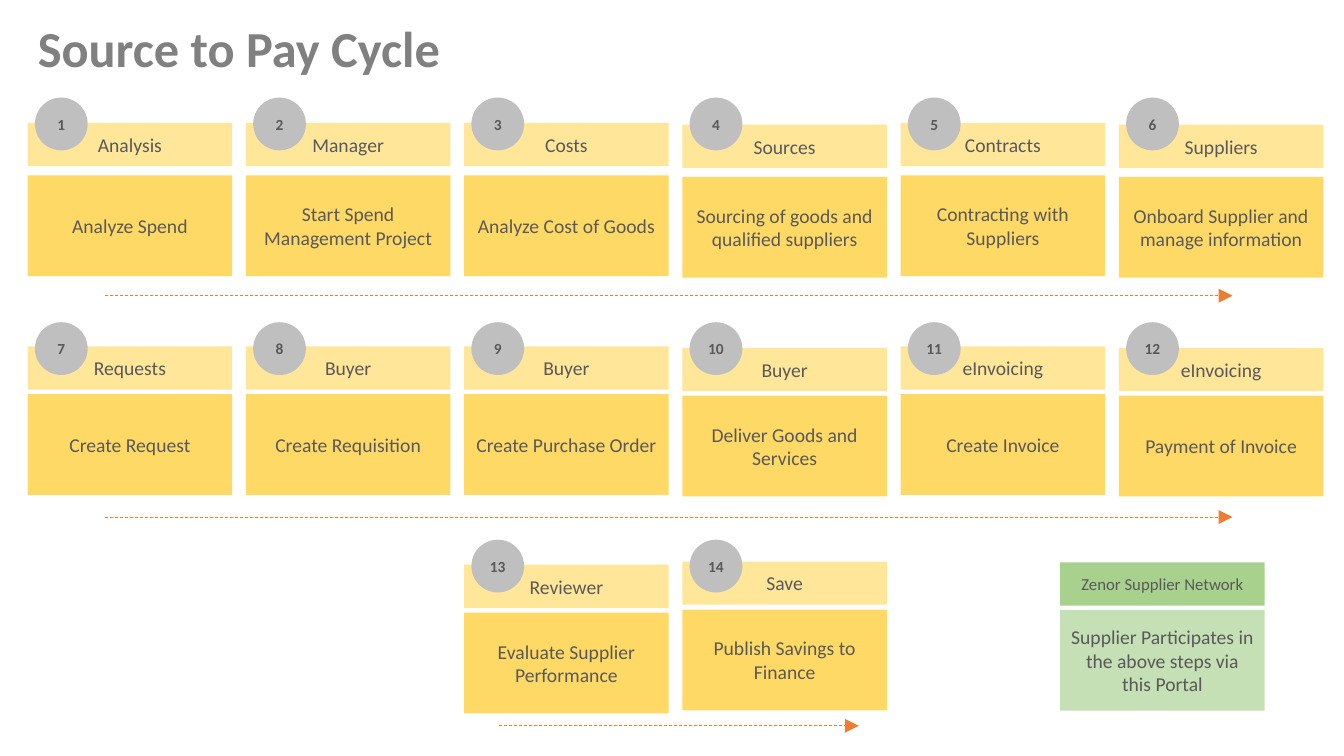
"""Build the Source to Pay Cycle slide."""
import pptx
import pptx.util
import pptx.dml.color
import pptx.enum.dml
import pptx.enum.shapes
import pptx.enum.text
import lxml.etree

Cm, Pt = pptx.util.Cm, pptx.util.Pt
Kind = pptx.enum.shapes.MSO_SHAPE
Align = pptx.enum.text.PP_ALIGN
Anchor = pptx.enum.text.MSO_ANCHOR
NS = "{http://schemas.openxmlformats.org/drawingml/2006/main}"
COLORS = {"title": "808080", "text": "595959", "head": "FFE699", "body": "FFD966",
          "dot": "BFBFBF", "arrow": "ED7D31", "net": "A9D18E", "note": "C5E0B4"}
WIDE, HEAD, BODY, DOT = 5.15, 1.09, 2.54, 1.33
LEFT, PITCH = 0.7, 5.5


def style(frame, text, size, color, bold, align, anchor):
    frame.text = text
    for key, value in {"word_wrap": True, "vertical_anchor": anchor}.items():
        setattr(frame, key, value)
    par = frame.paragraphs[0]
    par.alignment = align
    font = par.runs[0].font
    for key, value in {"name": "Calibri", "size": Pt(size), "bold": bold}.items():
        setattr(font, key, value)
    font.color.rgb = pptx.dml.color.RGBColor.from_string(COLORS[color])


def block(shapes, kind, left, top, width, height, fill, text, size=14, bold=False):
    shape = shapes.add_shape(kind, Cm(left), Cm(top), Cm(width), Cm(height))
    shape.shadow.inherit = False
    shape.fill.solid()
    shape.fill.fore_color.rgb = pptx.dml.color.RGBColor.from_string(COLORS[fill])
    shape.line.fill.background()
    style(shape.text_frame, text, size, "text", bold, Align.CENTER, Anchor.MIDDLE)
    return shape


deck = pptx.Presentation()
deck.slide_width, deck.slide_height = Cm(33.87), Cm(19.05)
slide = deck.slides.add_slide(deck.slide_layouts[5])
shapes = slide.shapes

title = shapes.title
place = {"left": 0.7, "top": 0.3, "width": 14.94, "height": 1.8}
for key, value in place.items():
    setattr(title, key, Cm(value))
style(title.text_frame, "Source to Pay Cycle", 36, "title", True, Align.LEFT, Anchor.TOP)

rows = [
    {"head": 3.1, "body": 4.42, "dot": 2.46, "first": 0, "drop": {3: 0.04, 5: 0.04},
     "arrow": (2.65, 31.06, 7.45),
     "steps": [("Analysis", "Analyze Spend"),
               ("Manager", "Start Spend Management Project"),
               ("Costs", "Analyze Cost of Goods"),
               ("Sources", "Sourcing of goods and qualified suppliers"),
               ("Contracts", "Contracting with Suppliers"),
               ("Suppliers", "Onboard Supplier and manage information")]},
    {"head": 8.73, "body": 9.93, "dot": 8.12, "first": 0, "drop": {3: 0.04, 5: 0.04},
     "arrow": (2.65, 31.06, 13.03),
     "steps": [("Requests", "Create Request"),
               ("Buyer", "Create Requisition"),
               ("Buyer", "Create Purchase Order"),
               ("Buyer", "Deliver Goods and Services"),
               ("eInvoicing", "Create Invoice"),
               ("eInvoicing", "Payment of Invoice")]},
    {"head": 14.23, "body": 15.44, "dot": 13.6, "first": 2, "drop": {3: -0.08},
     "arrow": (12.57, 21.64, 18.29),
     "steps": [("Reviewer", "Evaluate Supplier Performance"),
               ("Save", "Publish Savings to Finance")]},
]

count = 0
for row in rows:
    for col, (name, task) in enumerate(row["steps"], row["first"]):
        count += 1
        left = LEFT + PITCH * col
        drop = row["drop"].get(col, 0)
        block(shapes, Kind.RECTANGLE, left, row["body"] + drop, WIDE, BODY, "body", task)
        block(shapes, Kind.RECTANGLE, left, row["head"] + drop, WIDE, HEAD, "head", name)
        dot = block(shapes, Kind.OVAL, left + 0.18, row["dot"], DOT, DOT, "dot",
                    str(count), 11, True)
        for side in ("margin_left", "margin_right"):
            setattr(dot.text_frame, side, 0)

    start, end, level = row["arrow"]
    arrow = shapes.add_connector(pptx.enum.shapes.MSO_CONNECTOR.STRAIGHT,
                                 Cm(start), Cm(level), Cm(end), Cm(level))
    line = arrow.line
    line.color.rgb = pptx.dml.color.RGBColor.from_string(COLORS["arrow"])
    line.width = Pt(0.5)
    line.dash_style = pptx.enum.dml.MSO_LINE.DASH
    lxml.etree.SubElement(line._get_or_add_ln(), NS + "tailEnd",
                          type="triangle", w="lg", len="lg")
    lxml.etree.SubElement(arrow._element.spPr, NS + "effectLst")

portal = shapes.add_group_shape().shapes
block(portal, Kind.RECTANGLE, 26.72, 15.37, WIDE, BODY, "note",
      "Supplier Participates in the above steps via this Portal")
block(portal, Kind.RECTANGLE, 26.72, 14.17, WIDE, HEAD, "net", "Zenor Supplier Network", 12)

deck.save("out.pptx")
